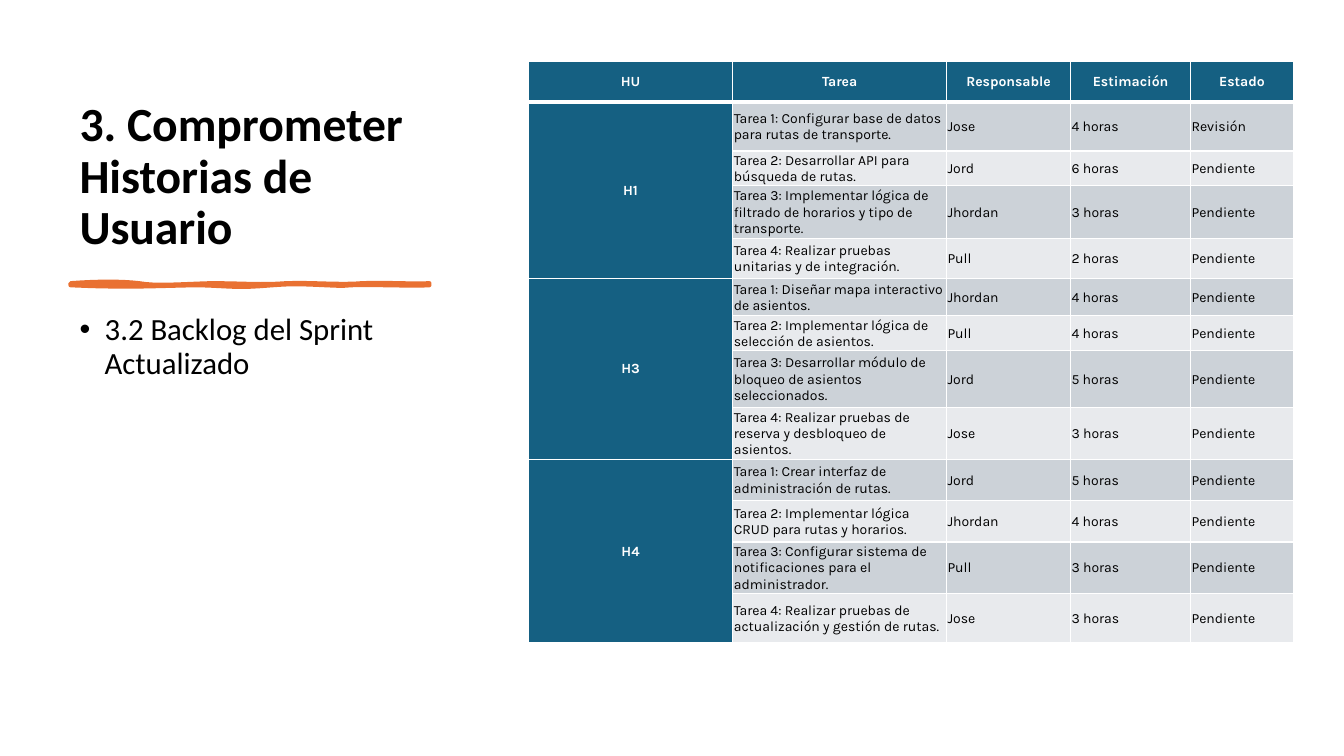
from lxml import etree
from pptx import Presentation
from pptx.dml.color import RGBColor
from pptx.enum.text import MSO_ANCHOR, PP_ALIGN
from pptx.oxml.ns import qn
from pptx.util import Inches, Pt

TOP, MIDDLE, BOTTOM = MSO_ANCHOR.TOP, MSO_ANCHOR.MIDDLE, MSO_ANCHOR.BOTTOM
LEFT, CENTER = PP_ALIGN.LEFT, PP_ALIGN.CENTER

COLORS = {"text": "000000", "white": "FFFFFF", "accent": "E97132",
          "header": "156082", "odd": "CCD2D8", "even": "E8EAED"}
TITLE_FONT = {"name": "Calibri", "size": Pt(34), "bold": True}
BODY_FONT = {"name": "Calibri", "size": Pt(22), "bold": False}
HEADER_FONT = {"name": "Karla", "size": Pt(10), "bold": True}
CELL_FONT = {**HEADER_FONT, "bold": False}
CELL_FORMAT = {"margin_left": Inches(0.01), "margin_right": Inches(0.01),
               "margin_top": Inches(0.01), "margin_bottom": 0,
               "vertical_anchor": MIDDLE}

# All lengths are percentages of the slide's width or height
COLUMN_WIDTHS = [15.23, 15.9, 9.23, 8.93, 7.65]
ROW_HEIGHTS = [5.33, 6.53, 4.4, 6.93, 5.33, 4.93, 4.53,
               7.6, 6.8, 5.47, 5.47, 6.53, 6.53]
HEADERS = ["HU", "Tarea", "Responsable", "Estimación", "Estado"]
STORIES = {
    "H1": [
        ("Configurar base de datos para rutas de transporte.", "Jose", 4, "Revisión"),
        ("Desarrollar API para búsqueda de rutas.", "Jord", 6, "Pendiente"),
        ("Implementar lógica de filtrado de horarios y tipo de transporte.",
         "Jhordan", 3, "Pendiente"),
        ("Realizar pruebas unitarias y de integración.", "Pull", 2, "Pendiente"),
    ],
    "H3": [
        ("Diseñar mapa interactivo de asientos.", "Jhordan", 4, "Pendiente"),
        ("Implementar lógica de selección de asientos.", "Pull", 4, "Pendiente"),
        ("Desarrollar módulo de bloqueo de asientos seleccionados.",
         "Jord", 5, "Pendiente"),
        ("Realizar pruebas de reserva y desbloqueo de asientos.",
         "Jose", 3, "Pendiente"),
    ],
    "H4": [
        ("Crear interfaz de administración de rutas.", "Jord", 5, "Pendiente"),
        ("Implementar lógica CRUD para rutas y horarios.", "Jhordan", 4, "Pendiente"),
        ("Configurar sistema de notificaciones para el administrador.",
         "Pull", 3, "Pendiente"),
        ("Realizar pruebas de actualización y gestión de rutas.",
         "Jose", 3, "Pendiente"),
    ],
}

# Brush stroke: start point, then two control points and an end point per curve
BRUSH_TOP = [
    (5.25, 37.47), (7.28, 37.2), (9.08, 37.2), (10.35, 37.47),
    (11.63, 37.87), (13.28, 37.6), (15.68, 37.47),
    (18.08, 37.47), (19.5, 37.73), (21.3, 37.47),
    (23.1, 37.33), (25.43, 37.73), (26.93, 37.47),
    (28.43, 37.33), (30.9, 37.6), (31.95, 37.47)]
BRUSH_BOTTOM = [
    (31.95, 37.73), (30.6, 37.87), (27.3, 37.6), (26.1, 37.73),
    (24.9, 38), (22.8, 37.33), (20.25, 37.73),
    (17.63, 38.13), (17.33, 37.87), (14.93, 37.73),
    (12.45, 37.73), (9.9, 38.13), (5.25, 37.73)]


def curve_points(controls, steps=8):
    points = [controls[0]]
    for first in range(0, len(controls) - 1, 3):
        for step in range(1, steps + 1):
            t = step / steps
            weights = ((1 - t) ** 3, 3 * t * (1 - t) ** 2, 3 * t * t * (1 - t), t ** 3)
            points.append(tuple(
                sum(weight * point[axis]
                    for weight, point in zip(weights, controls[first:first + 4]))
                for axis in (0, 1)))
    return points


def apply_format(target, values):
    for name, value in values.items():
        setattr(target, name, value)


class SlideBuilder:
    def __init__(self, presentation):
        self.width = presentation.slide_width
        self.height = presentation.slide_height
        self.slide = presentation.slides.add_slide(presentation.slide_layouts[6])

    def x(self, share):
        return round(self.width * share / 100)

    def y(self, share):
        return round(self.height * share / 100)

    def color(self, name):
        return RGBColor.from_string(COLORS[name])

    def add_words(self, paragraph, words, font, color="text"):
        run = paragraph.add_run()
        run.text = words
        apply_format(run.font, font)
        run.font.color.rgb = self.color(color)

    def text_box(self, words, left, top, width, height, font, anchor=TOP, bullet=False):
        box = self.slide.shapes.add_textbox(
            self.x(left), self.y(top), self.x(width), self.y(height))
        apply_format(box.text_frame, {"word_wrap": True, "vertical_anchor": anchor})
        paragraph = box.text_frame.paragraphs[0]
        if bullet:
            properties = paragraph._p.get_or_add_pPr()
            properties.set("marL", str(Inches(0.25)))
            properties.set("indent", str(-Inches(0.25)))
            etree.SubElement(properties, qn("a:buFont"), typeface="Arial")
            etree.SubElement(properties, qn("a:buChar"), char="•")
        paragraph.line_spacing = 0.9
        self.add_words(paragraph, words, font)

    def brush(self, points, color, weight):
        outline = [(self.x(across), self.y(down)) for across, down in points]
        builder = self.slide.shapes.build_freeform(*outline[0])
        builder.add_line_segments(outline[1:], close=True)
        shape = builder.convert_to_shape()
        shape.shadow.inherit = False
        shape.fill.solid()
        shape.fill.fore_color.rgb = self.color(color)
        shape.line.color.rgb = self.color(color)
        shape.line.width = Pt(weight)
        outline_properties = shape._element.spPr.find(qn("a:ln"))
        etree.SubElement(outline_properties, qn("a:round"))

    def borders(self, cell, weights):
        properties = cell._tc.get_or_add_tcPr()
        for side, weight in weights.items():
            line = etree.SubElement(properties, qn(f"a:ln{side}"), w=str(Pt(weight)))
            fill = etree.SubElement(line, qn("a:solidFill"))
            etree.SubElement(fill, qn("a:srgbClr"), val=COLORS["white"])

    def table(self, left, top, widths, heights, rows, group_size):
        table = self.slide.shapes.add_table(
            len(heights), len(widths), self.x(left), self.y(top),
            self.x(sum(widths)), self.y(sum(heights))).table
        apply_format(table, {"first_row": False, "horz_banding": False})
        for column, width in zip(table.columns, widths):
            column.width = self.x(width)
        for row, height in zip(table.rows, heights):
            row.height = self.y(height)
        for row_index, values in enumerate(rows):
            for column_index, value in enumerate(values):
                cell = table.cell(row_index, column_index)
                heading = row_index == 0 or column_index == 0
                self.borders(cell, {"L": 1, "R": 1,
                                    "T": 3 if row_index == 1 else 1,
                                    "B": 3 if row_index == 0 else 1})
                apply_format(cell, CELL_FORMAT)
                cell.fill.solid()
                cell.fill.fore_color.rgb = self.color(
                    "header" if heading else "odd" if row_index % 2 else "even")
                paragraph = cell.text_frame.paragraphs[0]
                paragraph.alignment = CENTER if heading else LEFT
                if value:
                    self.add_words(paragraph, value,
                                   HEADER_FONT if heading else CELL_FONT,
                                   "white" if heading else "text")
        for first in range(1, len(heights), group_size):
            table.cell(first, 0).merge(table.cell(first + group_size - 1, 0))


def main():
    presentation = Presentation()
    presentation.slide_width = Inches(13.33)
    presentation.slide_height = Inches(7.5)
    builder = SlideBuilder(presentation)

    # Title, brush stroke and subtitle
    builder.text_box("3. Comprometer Historias de Usuario",
                     5.18, 9.33, 28.13, 25.07, TITLE_FONT, anchor=BOTTOM)
    builder.brush(curve_points(BRUSH_TOP) + curve_points(BRUSH_BOTTOM), "accent", 3)
    builder.text_box("3.2 Backlog del Sprint Actualizado",
                     5.18, 40.93, 28.13, 49.73, BODY_FONT, bullet=True)

    # Sprint backlog
    rows = [HEADERS]
    for story, tasks in STORIES.items():
        for number, (task, owner, hours, state) in enumerate(tasks, 1):
            rows.append([story if number == 1 else "", f"Tarea {number}: {task}",
                         owner, f"{hours} horas", state])
    builder.table(39.3, 8.13, COLUMN_WIDTHS, ROW_HEIGHTS, rows, group_size=4)

    presentation.save("out.pptx")


if __name__ == "__main__":
    main()
